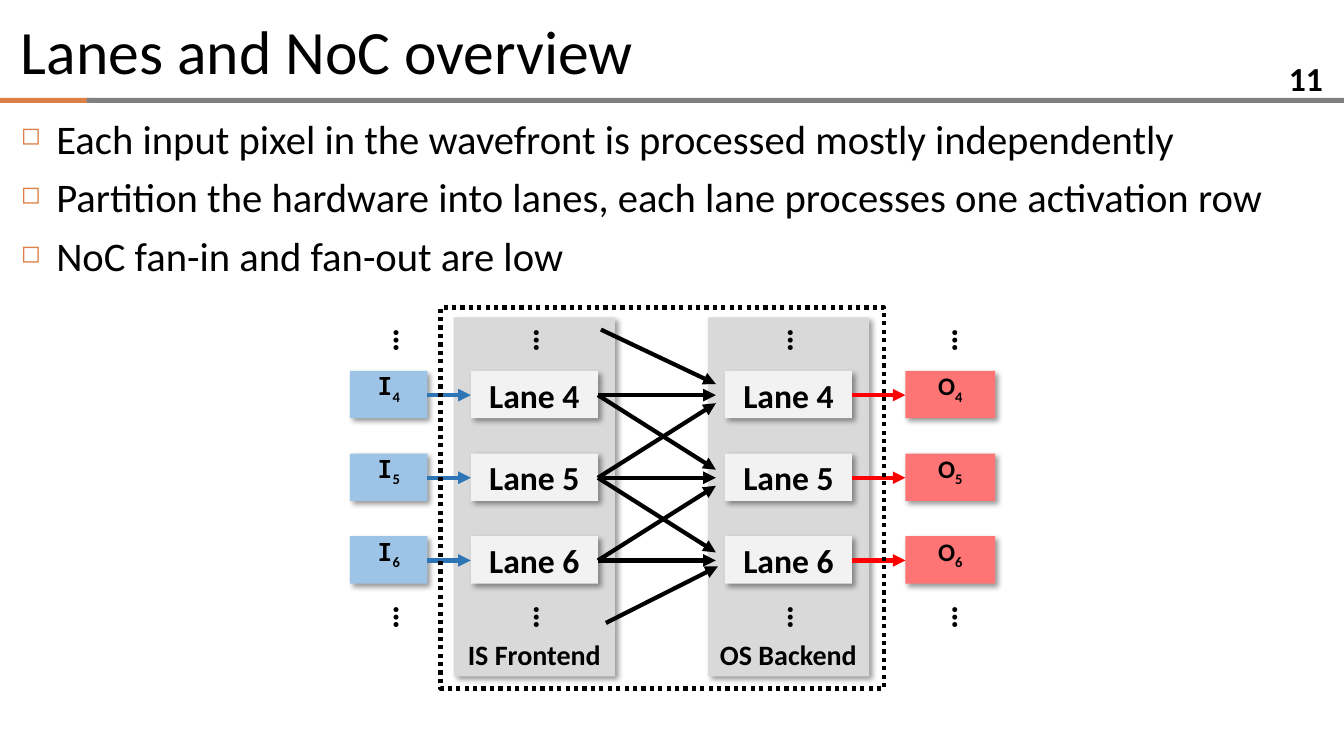
import dataclasses
import typing

import lxml.etree
import pptx
import pptx.dml.color
import pptx.enum.dml
import pptx.enum.shapes
import pptx.enum.text
import pptx.oxml.ns
import pptx.util

Inches = pptx.util.Inches
Align = pptx.enum.text.PP_ALIGN
Anchor = pptx.enum.text.MSO_ANCHOR
Form = pptx.enum.shapes.MSO_SHAPE
Frame = typing.Tuple[float, float, float, float]
Point = typing.Tuple[float, float]


@dataclasses.dataclass(frozen=True)
class Theme:
    font: str = "Calibri"
    mono: str = "Noto Sans Mono"
    black: str = "000000"
    accent: str = "DD8047"
    rule: str = "808080"
    panel: str = "D9D9D9"
    lane: str = "F2F2F2"
    input: str = "9DC3E6"
    output: str = "FF7575"
    feed: str = "2E75B6"
    drain: str = "FF0000"
    title: float = 44
    body: float = 29
    label: float = 24
    panel_size: float = 20
    port: float = 18
    stroke: float = 3


@dataclasses.dataclass(frozen=True)
class Text:
    value: str
    size: float
    bold: bool = True
    font: str = "Calibri"
    align: typing.Optional[Align] = Align.CENTER
    anchor: Anchor = Anchor.MIDDLE
    sub: str = ""


@dataclasses.dataclass(frozen=True)
class Box:
    frame: Frame
    fill: str
    text: typing.Optional[Text] = None
    shadow: bool = True


@dataclasses.dataclass(frozen=True)
class Arrow:
    start: Point
    end: Point
    color: str


@dataclasses.dataclass(frozen=True)
class Side:
    name: str
    left: float
    dots: float
    port: str
    port_left: float
    port_width: float
    port_fill: str
    port_font: str
    port_dots: float


THEME = Theme()
SIDES = (
    Side("IS Frontend", 4.5, 4.99, "I", 3.47, 0.77, THEME.input, THEME.mono, 3.6),
    Side("OS Backend", 7.02, 7.51, "O", 8.98, 0.89, THEME.output, THEME.font, 9.14),
)
LANES = (4, 5, 6)
ROWS = [3.92 + 0.82 * step for step in range(len(LANES))]
INSET, LANE_WIDTH, LANE_HEIGHT = 0.17, 1.26, 0.47
DOT_TOPS = (3.12, 5.87)
POINTS = (
    "Each input pixel in the wavefront is processed mostly independently",
    "Partition the hardware into lanes, each lane processes one activation row",
    "NoC fan-in and fan-out are low",
)


def rgb(code: str) -> pptx.dml.color.RGBColor:
    return pptx.dml.color.RGBColor.from_string(code)


def child(node: typing.Any, tag: str, **attrs: str) -> typing.Any:
    return lxml.etree.SubElement(node, pptx.oxml.ns.qn(tag), attrs)


def style(run: typing.Any, text: Text, font: str) -> None:
    run.font.name = font
    run.font.size = pptx.util.Pt(text.size)
    run.font.bold = text.bold
    run.font.color.rgb = rgb(THEME.black)


def write(frame: typing.Any, text: Text) -> None:
    frame.text = text.value
    frame.word_wrap = True
    frame.vertical_anchor = text.anchor
    for part in frame.paragraphs:
        part.alignment = text.align
        for run in part.runs:
            style(run, text, text.font)
        if text.sub:
            part.line_spacing = pptx.util.Pt(15)
            run = part.add_run()
            run.text = text.sub
            style(run, text, THEME.font)
            run.font._element.set("baseline", "-25000")


def draw_text(slide: typing.Any, frame: Frame, text: Text) -> typing.Any:
    shape = slide.shapes.add_textbox(*map(Inches, frame))
    write(shape.text_frame, text)
    return shape


def draw_box(slide: typing.Any, box: Box) -> None:
    shape = slide.shapes.add_shape(Form.RECTANGLE, *map(Inches, box.frame))
    shape.fill.solid()
    shape.fill.fore_color.rgb = rgb(box.fill)
    shape.line.fill.background()
    shape.shadow.inherit = False
    if box.shadow:
        effects = shape._element.spPr.find(pptx.oxml.ns.qn("a:effectLst"))
        shade = child(effects, "a:outerShdw", blurRad="50800", dist="38100",
                      dir="2700000", algn="tl", rotWithShape="0")
        color = child(shade, "a:srgbClr", val=THEME.black)
        child(color, "a:alpha", val="40000")
    if box.text:
        write(shape.text_frame, box.text)


def draw_arrow(slide: typing.Any, arrow: Arrow) -> None:
    line = slide.shapes.add_connector(
        pptx.enum.shapes.MSO_CONNECTOR.STRAIGHT,
        *map(Inches, arrow.start + arrow.end))
    line.line.color.rgb = rgb(arrow.color)
    line.line.width = pptx.util.Pt(THEME.stroke)
    child(line.line._get_or_add_ln(), "a:tailEnd", type="triangle")
    child(line._element.spPr, "a:effectLst")


def draw_dots(slide: typing.Any, left: float) -> None:
    for top in DOT_TOPS:
        shape = draw_text(slide, (left, top, 0.44, 0.5),
                          Text("…", THEME.label, align=None, anchor=Anchor.TOP))
        shape.text_frame.word_wrap = False
        shape.text_frame.auto_size = pptx.enum.text.MSO_AUTO_SIZE.SHAPE_TO_FIT_TEXT
        shape.rotation = 270


def draw_header(slide: typing.Any) -> None:
    draw_box(slide, Box((0, 0.97, 0.89, 0.05), THEME.accent, shadow=False))
    draw_box(slide, Box((0.86, 0.97, 12.47, 0.05), THEME.rule, shadow=False))
    draw_text(slide, (0.11, 0.08, 13.11, 0.83),
              Text("Lanes and NoC overview", THEME.title, False, align=Align.LEFT))
    draw_text(slide, (12.22, 0.63, 1, 0.28),
              Text("11", THEME.label, align=Align.RIGHT))


def draw_body(slide: typing.Any) -> None:
    body = draw_text(slide, (0.11, 1.08, 13.11, 1.84),
                     Text("\n".join(POINTS), THEME.body, False,
                          align=Align.LEFT, anchor=Anchor.TOP))
    for part in body.text_frame.paragraphs:
        part.space_before = pptx.util.Pt(7)
        props = part._p.get_or_add_pPr()
        props.set("marL", str(Inches(0.35)))
        props.set("indent", str(Inches(-0.35)))
        child(child(props, "a:buClr"), "a:srgbClr", val=THEME.accent)
        child(props, "a:buSzPct", val="60000")
        child(props, "a:buChar", char="◻")


def draw_side(slide: typing.Any, side: Side) -> None:
    draw_box(slide, Box((side.left, 3.15, 1.6, 3.56), THEME.panel,
                        Text(side.name, THEME.panel_size, anchor=Anchor.BOTTOM)))
    draw_dots(slide, side.dots)
    draw_dots(slide, side.port_dots)
    left = side.left + INSET
    for lane, row in zip(LANES, ROWS):
        top = row - 0.24
        draw_box(slide, Box((left, top, LANE_WIDTH, LANE_HEIGHT), THEME.lane,
                            Text(f"Lane {lane}", THEME.label)))
        draw_box(slide, Box((side.port_left, top, side.port_width, LANE_HEIGHT),
                            side.port_fill,
                            Text(side.port, THEME.port, font=side.port_font,
                                 sub=str(lane))))
        if side.port_left < left:
            arrow = Arrow((side.port_left + side.port_width, row), (left, row), THEME.feed)
        else:
            arrow = Arrow((left + LANE_WIDTH, row), (side.port_left, row), THEME.drain)
        draw_arrow(slide, arrow)


def draw_mesh(slide: typing.Any) -> None:
    for start, source in enumerate(ROWS):
        for end, target in enumerate(ROWS):
            if abs(start - end) <= 1:
                shift = 0.08 * (start - end)
                draw_arrow(slide, Arrow((5.93, source), (7.1, target + shift), THEME.black))
    draw_arrow(slide, Arrow((5.96, 3.27), (7.1, 3.81), THEME.black))
    draw_arrow(slide, Arrow((6.01, 6.18), (7.12, 5.62), THEME.black))


def draw_border(slide: typing.Any) -> None:
    shape = slide.shapes.add_shape(Form.RECTANGLE, *map(Inches, (4.37, 3.05, 4.4, 3.78)))
    shape.fill.background()
    shape.shadow.inherit = False
    shape.line.color.rgb = rgb(THEME.black)
    shape.line.width = pptx.util.Pt(THEME.stroke)
    shape.line.dash_style = pptx.enum.dml.MSO_LINE.ROUND_DOT


def main() -> None:
    deck = pptx.Presentation()
    deck.slide_width, deck.slide_height = Inches(13.33), Inches(7.5)
    slide = deck.slides.add_slide(deck.slide_layouts[6])
    draw_header(slide)
    draw_body(slide)
    for side in SIDES:
        draw_side(slide, side)
    draw_mesh(slide)
    draw_border(slide)
    deck.save("out.pptx")


if __name__ == "__main__":
    main()
